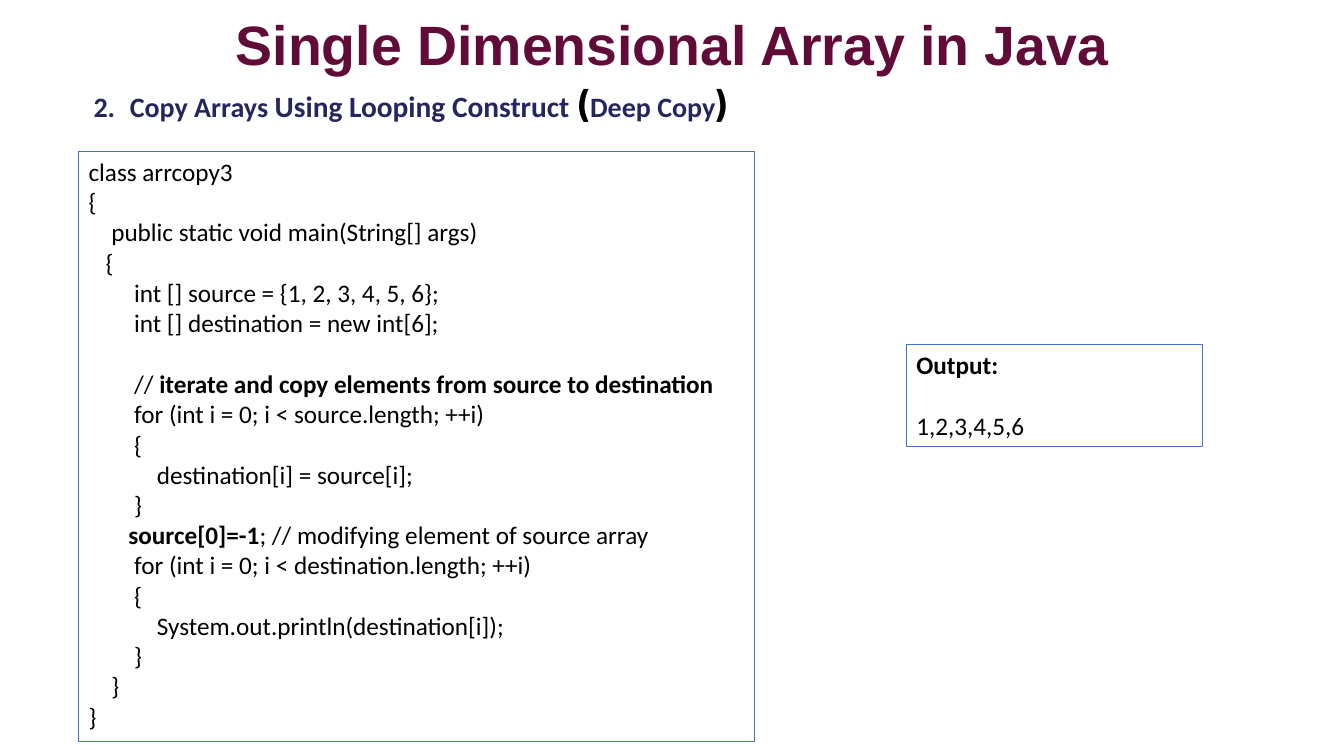
import pptx
import pptx.dml.color
import pptx.enum.shapes
import pptx.enum.text
import pptx.util

Inches = pptx.util.Inches
Pt = pptx.util.Pt
RGBColor = pptx.dml.color.RGBColor
PP_ALIGN = pptx.enum.text.PP_ALIGN
MSO_ANCHOR = pptx.enum.text.MSO_ANCHOR

BLACK = RGBColor(0x00, 0x00, 0x00)
BLUE = RGBColor(0x44, 0x72, 0xC4)
NAVY = RGBColor(0x25, 0x26, 0x5E)
MAROON = RGBColor(0x61, 0x0B, 0x38)

SPACE_WIDTH = 4.07
LINE_HEIGHT = 22

BODY = {"name": "Calibri", "size": Pt(18), "bold": False}
BOLD = {**BODY, "bold": True}
TITLE = {"name": "Arial", "size": Pt(39.6), "bold": True}
HEADING = {"name": "Calibri", "size": Pt(20), "bold": True}
PAREN = {"name": "Inter", "size": Pt(26), "bold": True}

CODE = [
    (0, [("class arrcopy3", BODY, BLACK)]),
    (0, [("{", BODY, BLACK)]),
    (4, [("public static void main(String[] args)", BODY, BLACK)]),
    (3, [("{", BODY, BLACK)]),
    (8, [("int [] source = {1, 2, 3, 4, 5, 6};", BODY, BLACK)]),
    (8, [("int [] destination = new int[6];", BODY, BLACK)]),
    (8, [("// ", BODY, BLACK),
         ("iterate and copy elements from source to destination", BOLD, BLACK)], LINE_HEIGHT),
    (8, [("for (int i = 0; i < source.length; ++i)", BODY, BLACK)]),
    (8, [("{", BODY, BLACK)]),
    (12, [("destination[i] = source[i];", BODY, BLACK)]),
    (8, [("}", BODY, BLACK)]),
    (7, [("source[0]=-1", BOLD, BLACK),
         ("; // modifying element of source array", BODY, BLACK)]),
    (8, [("for (int i = 0; i < destination.length; ++i)", BODY, BLACK)]),
    (8, [("{", BODY, BLACK)]),
    (12, [("System.out.println(destination[i]);", BODY, BLACK)]),
    (8, [("}", BODY, BLACK)]),
    (4, [("}", BODY, BLACK)]),
    (0, [("}", BODY, BLACK)]),
]
OUTPUT = [
    (0, [("Output:", BOLD, BLACK)]),
    (0, [("1,2,3,4,5,6", BODY, BLACK)], LINE_HEIGHT),
]


class Deck:
    """Holds the text style and the current slide, and draws its elements."""

    def __init__(self, prs):
        self.s = prs.slides.add_slide(prs.slide_layouts[6])

    def add_runs(self, p, runs):
        for text, style, color in runs:
            r = p.add_run()
            r.text = text
            for key, value in style.items():
                setattr(r.font, key, value)
            r.font.color.rgb = color

    def indent(self, p, left, first=0):
        pPr = p._p.get_or_add_pPr()
        pPr.set("marL", str(left))
        pPr.set("indent", str(first))

    def text(self, box, runs, layout, anchor=MSO_ANCHOR.TOP):
        sp = self.s.shapes.add_textbox(*map(Inches, box))
        tf = sp.text_frame
        tf.word_wrap = True
        tf.vertical_anchor = anchor
        p = tf.paragraphs[0]
        for key, value in layout.items():
            setattr(p, key, value)
        self.add_runs(p, runs)
        return p

    def panel(self, box, lines):
        sp = self.s.shapes.add_shape(pptx.enum.shapes.MSO_SHAPE.RECTANGLE, *map(Inches, box))
        sp.shadow.inherit = False
        sp.fill.background()
        sp.line.color.rgb = BLUE
        sp.line.width = Pt(0.75)
        tf = sp.text_frame
        tf.word_wrap = True
        tf.vertical_anchor = MSO_ANCHOR.TOP
        for i, (spaces, runs, *gap) in enumerate(lines):
            p = tf.add_paragraph() if i else tf.paragraphs[0]
            p.alignment = PP_ALIGN.LEFT
            self.indent(p, Pt(spaces * SPACE_WIDTH))
            if gap:
                p.space_before = Pt(gap[0])
            self.add_runs(p, runs)


def main():
    prs = pptx.Presentation()
    prs.slide_width, prs.slide_height = Inches(13.33), Inches(7.5)
    deck = Deck(prs)
    deck.text((0.92, 0.26, 11.5, 0.43), [("Single Dimensional Array in Java", TITLE, MAROON)],
              {"alignment": PP_ALIGN.CENTER, "line_spacing": 0.9}, MSO_ANCHOR.MIDDLE)
    heading = deck.text((0.83, 0.78, 6.7, 0.54), [
        ("2.", HEADING, NAVY),
        ("\t", {**HEADING, "size": Pt(28)}, NAVY),
        ("Copy Arrays ", HEADING, NAVY),
        ("Using Looping Construct ", {**HEADING, "size": Pt(21)}, NAVY),
        ("(", PAREN, BLACK),
        ("Deep Copy", HEADING, NAVY),
        (")", PAREN, BLACK),
    ], {"line_spacing": 0.9, "space_before": Pt(10)})
    deck.indent(heading, Inches(0.36), -Inches(0.36))
    deck.panel((0.78, 1.5, 6.7, 5.86), CODE)
    deck.panel((8.99, 3.42, 2.94, 1.01), OUTPUT)
    prs.save("out.pptx")


if __name__ == "__main__":
    main()
